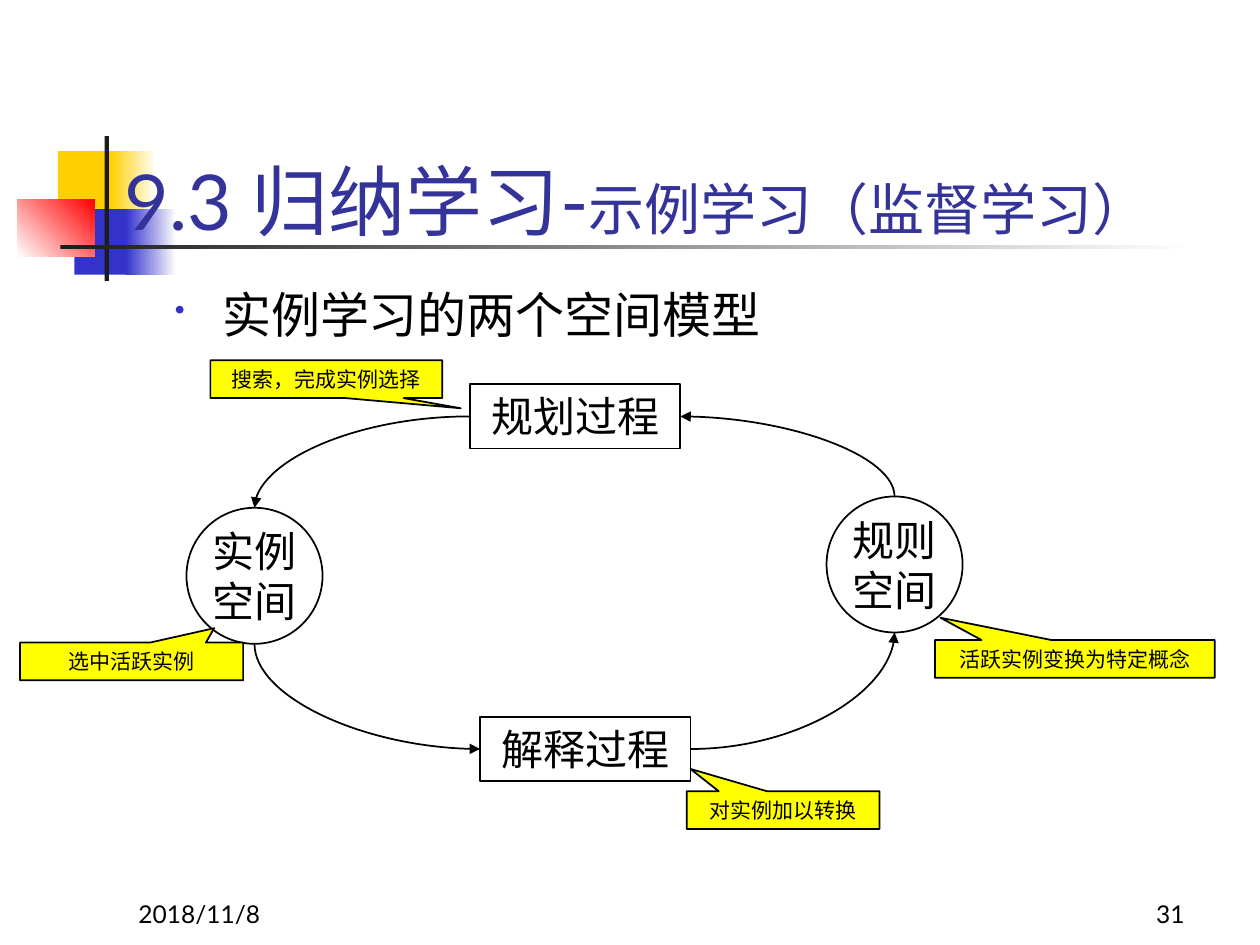
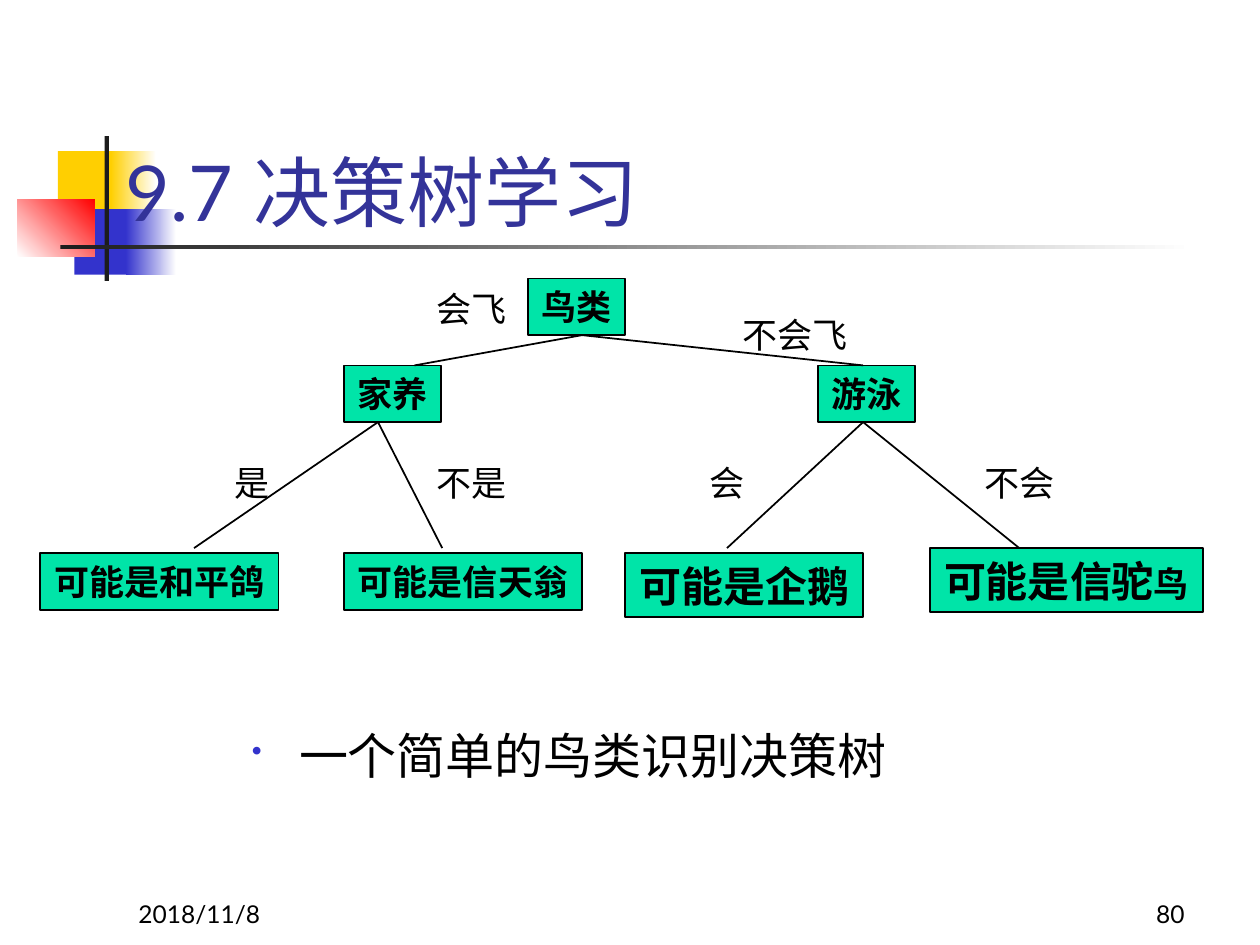
"""Two machine learning slides: the two-space model and a bird decision tree."""
from dataclasses import dataclass
from typing import NamedTuple, Optional

import pptx
import pptx.util
import pptx.dml.color
import pptx.enum.shapes
import pptx.enum.text
import pptx.oxml
import pptx.oxml.ns

COLOURS = {
    "ink": "000000", "title": "333399", "gold": "FFCF01", "blue": "3333CC",
    "red": "FF0000", "white": "FFFFFF", "rule": "1C1C1C",
    "callout": "FFFF00", "node": "00E4A8",
}
HEADING_FONT, BODY_FONT = "Lato", "Times New Roman"
GRID_COLUMNS, GRID_ROWS = 100, 75
CELL = pptx.util.Inches(0.1)
SHAPES = pptx.enum.shapes.MSO_SHAPE
CONNECTORS = pptx.enum.shapes.MSO_CONNECTOR
ALIGN = pptx.enum.text.PP_ALIGN
ANCHOR = pptx.enum.text.MSO_ANCHOR
TOP, LEFT, BOTTOM, RIGHT = range(4)
ELLIPSE_BOTTOM_SITE = "4"


class Place(NamedTuple):
    """A rectangle in grid columns and rows."""
    column: float
    row: float
    columns: float
    rows: float

    def lengths(self) -> list[int]:
        """Return left, top, width and height on the slide."""
        return [round(cells * CELL) for cells in self]


class Words(NamedTuple):
    """One run of text with its size in points."""
    text: str
    size: float


@dataclass(frozen=True)
class Style:
    """How a piece of text looks."""
    colour: str = "ink"
    font: str = HEADING_FONT
    bold: bool = False
    align: ALIGN = ALIGN.CENTER
    anchor: ANCHOR = ANCHOR.TOP
    wrap: bool = True
    inset: float = 1
    bullet: bool = False


@dataclass(frozen=True)
class Band:
    """A borderless bar of the title ornament."""
    place: Place
    start: str
    end: Optional[str] = None
    angle: float = 0


@dataclass(frozen=True)
class Callout:
    """A yellow remark whose tip is given as shares of its own size."""
    text: str
    place: Place
    tip: tuple[float, float]


@dataclass(frozen=True)
class Node:
    """A box of the decision tree."""
    place: Place
    words: tuple[Words, ...]


class Branch(NamedTuple):
    """A line of the tree, from column and row to column and row."""
    from_column: float
    from_row: float
    to_column: float
    to_row: float


class Flow(NamedTuple):
    """A curve from the side of a process to the top or bottom of a space."""
    process: str
    process_side: int
    space: str
    space_side: int
    arrow_end: str


ORNAMENT = (
    Band(Place(4.6, 12, 4.8, 5.2), "gold"),
    Band(Place(8.8, 12, 3.6, 5.2), "gold", "white"),
    Band(Place(5.9, 16.6, 4.6, 5.2), "blue"),
    Band(Place(10, 16.6, 4, 5.2), "blue", "white"),
    Band(Place(1.4, 15.8, 6.1, 4.6), "white", "red", 45),
    Band(Place(8.3, 10.8, 0.35, 11.5), "rule"),
    Band(Place(4.8, 19.45, 90, 0.35), "rule", "white"),
)
TITLE = Style(colour="title", align=ALIGN.LEFT, anchor=ANCHOR.BOTTOM)
DATE = Style(align=ALIGN.LEFT, anchor=ANCHOR.BOTTOM)
NUMBER = Style(align=ALIGN.RIGHT, anchor=ANCHOR.BOTTOM)
POINT = Style(font=BODY_FONT, align=ALIGN.LEFT, bullet=True)
LABEL = Style()
IN_CIRCLE = Style(anchor=ANCHOR.MIDDLE, inset=0)
IN_NODE = Style(bold=True, anchor=ANCHOR.MIDDLE, wrap=False)

SPACES = {"实例空间": Place(14.8, 40.3, 10.8, 10.8),
          "规则空间": Place(65.6, 39.4, 10.8, 10.8)}
PROCESSES = {"规划过程": Place(37.3, 30.5, 16.7, 5.1),
             "解释过程": Place(38.1, 56.9, 16.7, 5.1)}
FLOWS = (
    Flow("规划过程", LEFT, "实例空间", TOP, "tailEnd"),
    Flow("解释过程", LEFT, "实例空间", BOTTOM, "headEnd"),
    Flow("解释过程", RIGHT, "规则空间", BOTTOM, "tailEnd"),
    Flow("规划过程", RIGHT, "规则空间", TOP, "headEnd"),
)
CALLOUTS = (
    Callout("选中活跃实例", Place(1.6, 51, 17.7, 3), (0.37, -0.88)),
    Callout("对实例加以转换", Place(54.5, 62.8, 15.3, 3), (-0.48, -1.09)),
    Callout("活跃实例变换为特定概念", Place(74.2, 50.8, 22.2, 3), (-0.48, -1.09)),
    Callout("搜索，完成实例选择", Place(16.7, 28.6, 18.4, 3), (0.58, 0.77)),
)

NODES = (
    Node(Place(41.9, 22.1, 7.7, 4.5), (Words("鸟类", 20),)),
    Node(Place(27.3, 29, 7.7, 4.5), (Words("家养", 20),)),
    Node(Place(64.9, 29, 7.7, 4.5), (Words("游泳", 20),)),
    Node(Place(3.2, 43.9, 18.9, 4.5), (Words("可能是和平鸽", 20),)),
    Node(Place(27.3, 43.9, 18.9, 4.5), (Words("可能是信天翁", 20),)),
    Node(Place(49.6, 43.9, 18.9, 5.1), (Words("可能是企鹅", 24),)),
    Node(Place(73.8, 43.5, 21.7, 5.1), (Words("可能是信驼", 24), Words("鸟", 20))),
)
BRANCHES = (
    Branch(46.2, 26.6, 32.9, 29), Branch(46.2, 26.6, 68.5, 29),
    Branch(30, 33.5, 15.4, 43.5), Branch(30, 33.5, 35.1, 43.5),
    Branch(68.5, 33.5, 57.7, 43.5), Branch(68.5, 33.5, 80.9, 43.5),
)
ANSWERS = {
    "会飞": Place(32.9, 22.3, 9, 4.3), "不会飞": Place(57.7, 24.4, 10.8, 4.3),
    "是": Place(17.6, 36.1, 4.5, 4.3), "不是": Place(32.9, 36.1, 9, 4.3),
    "会": Place(53.2, 36.1, 9, 4.3), "不会": Place(76.4, 36.1, 9, 4.3),
}


def rgb(name: str) -> pptx.dml.color.RGBColor:
    """Look up a colour by its name."""
    return pptx.dml.color.RGBColor.from_string(COLOURS[name])


def add_child(parent, tag: str, **attributes: str):
    """Append an XML element of the drawing namespace."""
    child = pptx.oxml.parse_xml(f"<a:{tag} {pptx.oxml.ns.nsdecls('a')}/>")
    for key, value in attributes.items():
        child.set(key, value)
    parent.append(child)
    return child


def write(shape, words: tuple[Words, ...], style: Style) -> None:
    """Fill a shape with one paragraph of styled runs."""
    frame = shape.text_frame
    frame.word_wrap = style.wrap
    frame.vertical_anchor = style.anchor
    frame.margin_left = frame.margin_right = round(style.inset * CELL)
    frame.margin_top = frame.margin_bottom = round(style.inset * CELL / 2)
    paragraph = frame.paragraphs[0]
    paragraph.alignment = style.align
    if style.bullet:
        properties = paragraph._p.get_or_add_pPr()
        indent = round(3.75 * CELL)
        properties.set("marL", str(indent))
        properties.set("indent", str(-indent))
        add_child(add_child(properties, "buClr"), "srgbClr", val=COLOURS["blue"])
        add_child(properties, "buSzPct", val="60000")
        add_child(properties, "buChar", char="•")
    for text, size in words:
        run = paragraph.add_run()
        run.text = text
        run.font.size = pptx.util.Pt(size)
        run.font.name = style.font
        run.font.bold = style.bold
        run.font.color.rgb = rgb(style.colour)


def add_text(slide, place: Place, words: tuple[Words, ...], style: Style) -> None:
    """Add a text box."""
    write(slide.shapes.add_textbox(*place.lengths()), words, style)


def add_outlined(slide, kind: SHAPES, place: Place, words: tuple[Words, ...],
                 style: Style, fill: Optional[str] = None):
    """Add a labelled shape with a thin dark outline."""
    shape = slide.shapes.add_shape(kind, *place.lengths())
    shape.shadow.inherit = False
    if fill:
        shape.fill.solid()
        shape.fill.fore_color.rgb = rgb(fill)
    else:
        shape.fill.background()
    shape.line.color.rgb = rgb("ink")
    shape.line.width = pptx.util.Pt(1)
    write(shape, words, style)
    return shape


def add_band(slide, band: Band) -> None:
    """Add one bar of the title ornament."""
    shape = slide.shapes.add_shape(SHAPES.RECTANGLE, *band.place.lengths())
    shape.shadow.inherit = False
    shape.line.fill.background()
    if band.end is None:
        shape.fill.solid()
        shape.fill.fore_color.rgb = rgb(band.start)
        return
    shape.fill.gradient()
    shape.fill.gradient_angle = band.angle
    for stop, position, colour in zip(shape.fill.gradient_stops, (0, 1), (band.start, band.end)):
        stop.position = position
        stop.color.rgb = rgb(colour)


def add_line(slide, kind: CONNECTORS, branch: Branch):
    """Add a thin dark connector without a shadow."""
    line = slide.shapes.add_connector(kind, *Place(*branch).lengths())
    line.line.color.rgb = rgb("ink")
    line.line.width = pptx.util.Pt(1)
    add_child(line._element.spPr, "effectLst")
    return line


def add_flow(slide, flow: Flow, stations: dict) -> None:
    """Join a process and a space with a quarter-turn arrow."""
    process, space = PROCESSES[flow.process], SPACES[flow.space]
    start_column = process.column + process.columns * (flow.process_side == RIGHT)
    end_row = space.row + space.rows * (flow.space_side == BOTTOM)
    curve = add_line(slide, CONNECTORS.CURVE, Branch(
        start_column, process.row + process.rows / 2,
        space.column + space.columns / 2, end_row))
    curve._element.spPr.prstGeom.set("prst", "curvedConnector2")
    curve.begin_connect(stations[flow.process], flow.process_side)
    curve.end_connect(stations[flow.space], flow.space_side)
    if flow.space_side == BOTTOM:
        glue = curve._element.find(".//" + pptx.oxml.ns.qn("a:endCxn"))
        glue.set("idx", ELLIPSE_BOTTOM_SITE)
    add_child(curve.line._get_or_add_ln(), flow.arrow_end, type="triangle")


def add_base(deck, number: str, title_place: Place, title: tuple[Words, ...],
             point_place: Place, point: str):
    """Start a slide with ornament, footer, title and bullet point."""
    slide = deck.slides.add_slide(deck.slide_layouts[6])
    for band in ORNAMENT:
        add_band(slide, band)
    add_text(slide, Place(10, 69.2, 20.8, 5), (Words("2018/11/8", 14),), DATE)
    add_text(slide, Place(74.2, 69.2, 20.8, 5), (Words(number, 14),), NUMBER)
    add_text(slide, title_place, title, TITLE)
    add_text(slide, point_place, (Words(point, 28),), POINT)
    return slide


def build_space_model(deck) -> None:
    """Draw the cycle between the instance space and the rule space."""
    slide = add_base(deck, "31", Place(8.9, 7.5, 91.9, 12.5),
                     (Words("9.3 归纳学习-", 44), Words("示例学习（监督学习）", 32)),
                     Place(12.9, 22.1, 85, 45), "实例学习的两个空间模型")
    stations = {}
    for kind, places, style in ((SHAPES.OVAL, SPACES, IN_CIRCLE),
                                (SHAPES.RECTANGLE, PROCESSES, LABEL)):
        for name, place in places.items():
            stations[name] = add_outlined(slide, kind, place, (Words(name, 24),), style)
    for flow in FLOWS:
        add_flow(slide, flow, stations)
    for callout in CALLOUTS:
        remark = add_outlined(slide, SHAPES.RECTANGULAR_CALLOUT, callout.place,
                              (Words(callout.text, 12),), LABEL, "callout")
        remark.adjustments[0], remark.adjustments[1] = callout.tip


def build_bird_tree(deck) -> None:
    """Draw the decision tree that recognises birds."""
    slide = add_base(deck, "80", Place(9, 6.8, 88.9, 12.5), (Words("9.7 决策树学习", 44),),
                     Place(19, 57.1, 61.2, 6), "一个简单的鸟类识别决策树")
    for node in NODES:
        add_outlined(slide, SHAPES.RECTANGLE, node.place, node.words, IN_NODE, "node")
    for branch in BRANCHES:
        add_line(slide, CONNECTORS.STRAIGHT, branch)
    for answer, place in ANSWERS.items():
        add_text(slide, place, (Words(answer, 20),), LABEL)


def main() -> None:
    """Build and save the deck."""
    deck = pptx.Presentation()
    deck.slide_width, deck.slide_height = GRID_COLUMNS * CELL, GRID_ROWS * CELL
    build_space_model(deck)
    build_bird_tree(deck)
    deck.save("out.pptx")


if __name__ == "__main__":
    main()
